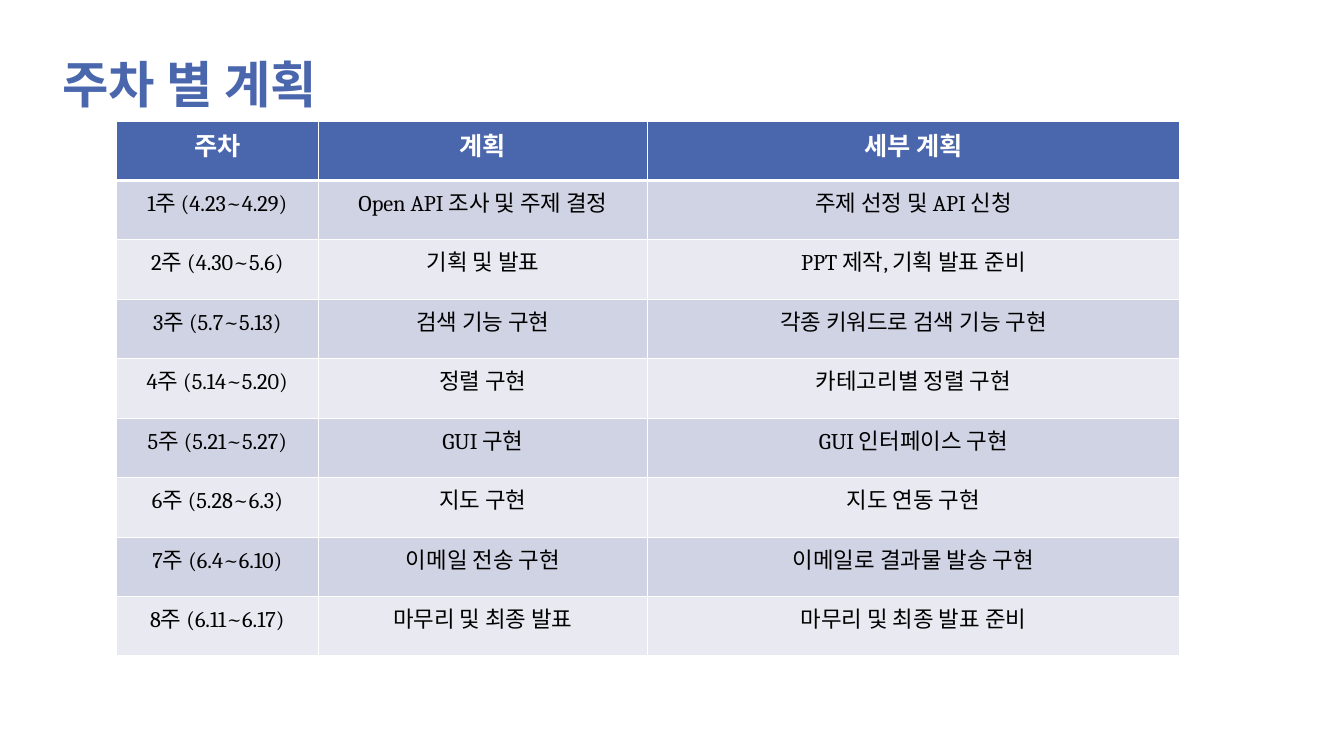
"""Build the weekly project plan slide."""
from lxml.etree import SubElement
from pptx import Presentation
from pptx.dml.color import RGBColor
from pptx.enum.text import MSO_ANCHOR, MSO_AUTO_SIZE, PP_ALIGN
from pptx.oxml.ns import qn
from pptx.util import Inches, Pt

TITLE = "주차 별 계획"
HEADER = ("주차", "계획", "세부 계획")
WEEKS = [
    ("4.23~4.29", "Open API 조사 및 주제 결정", "주제 선정 및 API 신청"),
    ("4.30~5.6", "기획 및 발표", "PPT 제작, 기획 발표 준비"),
    ("5.7~5.13", "검색 기능 구현", "각종 키워드로 검색 기능 구현"),
    ("5.14~5.20", "정렬 구현", "카테고리별 정렬 구현"),
    ("5.21~5.27", "GUI 구현", "GUI 인터페이스 구현"),
    ("5.28~6.3", "지도 구현", "지도 연동 구현"),
    ("6.4~6.10", "이메일 전송 구현", "이메일로 결과물 발송 구현"),
    ("6.11~6.17", "마무리 및 최종 발표", "마무리 및 최종 발표 준비"),
]
COLORS = {"blue": "4A66AC", "white": "FFFFFF", "black": "000000",
          "odd": "D0D3E3", "even": "E9EAF1"}
KOREAN_FONT = "Noto Sans CJK KR"
TITLE_FORMAT = {"name": KOREAN_FONT, "size": Pt(36), "bold": True}
HEADER_FORMAT = {"name": "Cambria", "size": Pt(18), "bold": True}
BODY_FORMAT = {"name": "Cambria", "size": Pt(16), "bold": False}
COLUMN_WIDTHS = (2.01, 3.26, 5.28)
ROW_HEIGHT = 0.59


def write(frame, text, formats, color, alignment):
    para = frame.paragraphs[0]
    para.alignment = alignment
    span = para.add_run()
    span.text = text
    for name, value in formats.items():
        setattr(span.font, name, value)
    span.font.color.rgb = RGBColor.from_string(COLORS[color])
    SubElement(span.font._element, qn("a:ea"), typeface=KOREAN_FONT)
    return para


def add_borders(cell, widths):
    properties = cell._tc.get_or_add_tcPr()
    for side, width in widths.items():
        line = SubElement(properties, qn(f"a:ln{side}"), w=str(Pt(width)))
        fill = SubElement(line, qn("a:solidFill"))
        SubElement(fill, qn("a:srgbClr"), val=COLORS["white"])


def add_title(page):
    title = page.shapes.title
    title.left, title.top = Inches(0.52), Inches(0)
    title.width, title.height = Inches(9.5), Inches(1.17)
    frame = title.text_frame
    frame.auto_size = MSO_AUTO_SIZE.NONE
    frame.vertical_anchor = MSO_ANCHOR.BOTTOM
    write(frame, TITLE, TITLE_FORMAT, "blue", PP_ALIGN.LEFT).line_spacing = 0.8


def add_plan(page):
    weeks = [(f"{number}주 ({dates})", plan, detail)
             for number, (dates, plan, detail) in enumerate(WEEKS, 1)]
    rows = [HEADER, *weeks]
    table = page.shapes.add_table(
        len(rows), len(HEADER), Inches(1.15), Inches(1.2),
        Inches(sum(COLUMN_WIDTHS)), Inches(ROW_HEIGHT * len(rows))).table
    for column, width in zip(table.columns, COLUMN_WIDTHS):
        column.width = Inches(width)
    for index, texts in enumerate(rows):
        table.rows[index].height = Inches(ROW_HEIGHT)
        if index == 0:
            formats, ink, background = HEADER_FORMAT, "white", "blue"
        else:
            formats, ink = BODY_FORMAT, "black"
            background = "odd" if index % 2 else "even"
        borders = {"L": 1, "R": 1, "T": 3 if index == 1 else 1,
                   "B": 3 if index == 0 else 1}
        for cell, text in zip(table.rows[index].cells, texts):
            add_borders(cell, borders)
            cell.fill.solid()
            cell.fill.fore_color.rgb = RGBColor.from_string(COLORS[background])
            write(cell.text_frame, text, formats, ink, PP_ALIGN.CENTER)


def main():
    deck = Presentation()
    deck.slide_width, deck.slide_height = Inches(13.33), Inches(7.5)
    page = deck.slides.add_slide(deck.slide_layouts[5])
    add_title(page)
    add_plan(page)
    deck.save("out.pptx")


if __name__ == "__main__":
    main()
